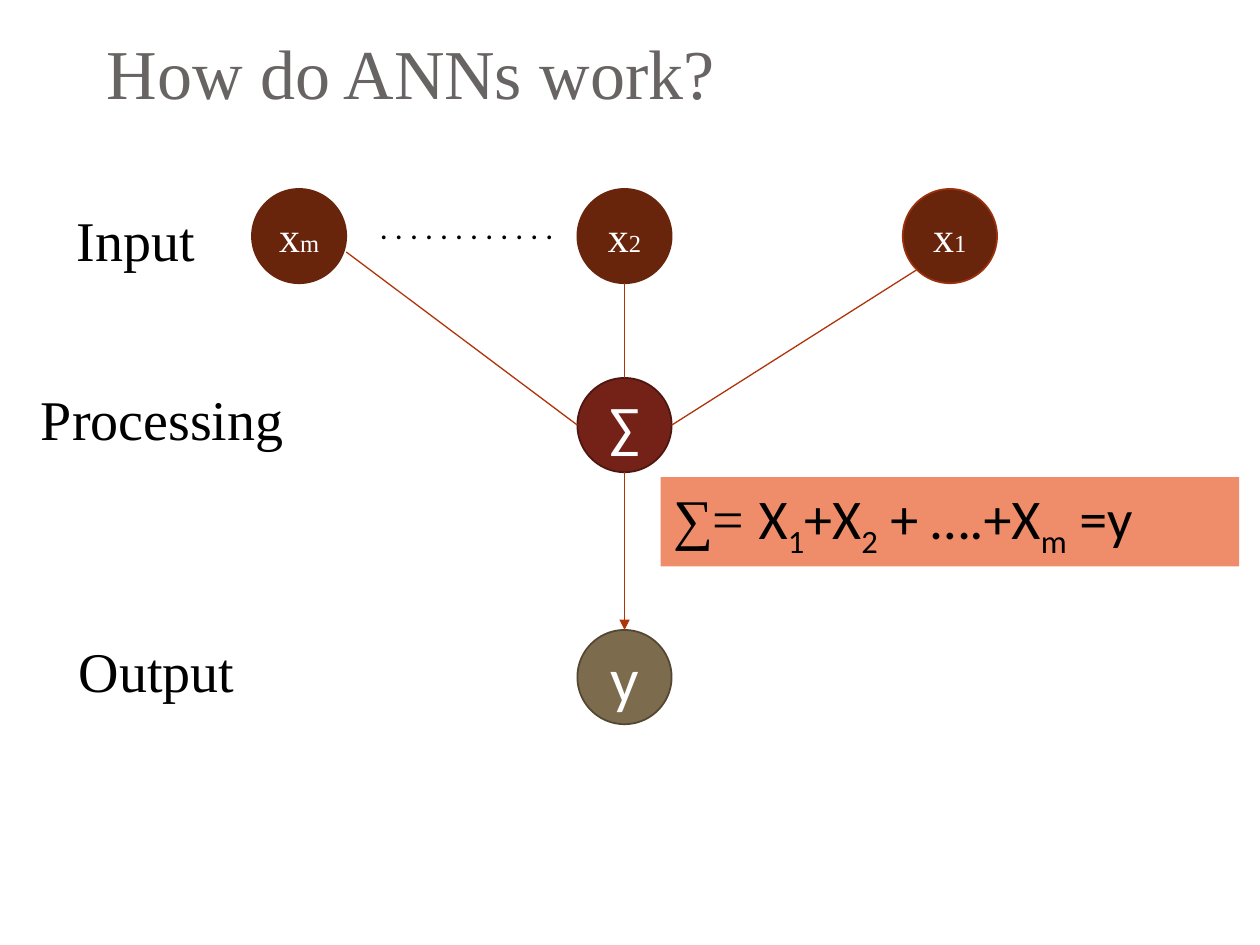
from pptx import Presentation
from pptx.dml.color import RGBColor
from pptx.enum.shapes import MSO_CONNECTOR as CONN, MSO_SHAPE as SHAPE
from pptx.enum.text import MSO_ANCHOR as ANCHOR, MSO_AUTO_SIZE as FIT, PP_ALIGN as ALIGN
from pptx.oxml.ns import qn
from pptx.util import Cm, Pt
from lxml.etree import SubElement

COLORS = {
    "title": "696464", "text": "000000", "light": "FFFFFF",
    "input": "69240C", "input_edge": "9B320E",
    "sum": "742217", "sum_edge": "4E1610",
    "output": "7C6B4D", "output_edge": "534733",
    "formula": "EF8C6A", "link": "AF3408",
}
SERIF, SANS = "Times New Roman", "Calibri"
NODE = 1.9


def rgb(name):
    return RGBColor.from_string(COLORS[name])


def add_run(p, text, size, font, color, baseline=0):
    r = p.add_run()
    r.text = text
    r.font.size, r.font.name = Pt(size), font
    r.font.color.rgb = rgb(color)
    if baseline:
        r.font._element.set("baseline", str(baseline * 1000))


def set_frame(tf, anchor=ANCHOR.TOP, align=ALIGN.LEFT, bottom=0.13):
    tf.word_wrap, tf.auto_size = True, FIT.NONE
    tf.vertical_anchor = anchor
    tf.margin_left = tf.margin_right = Cm(0.25)
    tf.margin_top, tf.margin_bottom = Cm(0.13), Cm(bottom)
    p = tf.paragraphs[0]
    p.alignment = align
    return p


def add_title(s, x, y, w, h):
    sp = s.shapes.title
    sp.left, sp.top, sp.width, sp.height = Cm(x), Cm(y), Cm(w), Cm(h)
    p = set_frame(sp.text_frame, ANCHOR.BOTTOM, bottom=0.25)
    add_run(p, "How do ANNs work?", 40, SERIF, "title")


def add_text(s, x, y, w, h, text, size, font, align=ALIGN.LEFT):
    sp = s.shapes.add_textbox(Cm(x), Cm(y), Cm(w), Cm(h))
    add_run(set_frame(sp.text_frame, align=align), text, size, font, "text")


def add_shape(s, kind, x, y, w, h, fill, edge=None):
    sp = s.shapes.add_shape(kind, Cm(x), Cm(y), Cm(w), Cm(h))
    sp.shadow.inherit = False
    sp.fill.solid()
    sp.fill.fore_color.rgb = rgb(fill)
    if edge:
        sp.line.color.rgb, sp.line.width = rgb(edge), Pt(1)
    else:
        sp.line.fill.background()
    return sp


def add_node(s, x, y, fill, edge, runs, font):
    sp = add_shape(s, SHAPE.OVAL, x, y, NODE, NODE, fill, edge)
    p = set_frame(sp.text_frame, ANCHOR.MIDDLE, ALIGN.CENTER)
    for text, size in runs:
        add_run(p, text, size, font, "light")


def add_link(s, x1, y1, x2, y2, arrow=False):
    c = s.shapes.add_connector(CONN.STRAIGHT, Cm(x1), Cm(y1), Cm(x2), Cm(y2))
    c.line.color.rgb, c.line.width = rgb("link"), Pt(0.75)
    if arrow:
        SubElement(c.line._get_or_add_ln(), qn("a:tailEnd"), type="triangle")
    SubElement(c._element.spPr, qn("a:effectLst"))


def add_labels(s, x, y):
    for text, dy, w in (("Input", 0.2, 5.08), ("Processing", 3.81, 6.15), ("Output", 8.89, 5.92)):
        add_text(s, x, y + dy, w, 1.62, text, 32, SERIF, ALIGN.CENTER)


def add_network(s, x, y, w, h):
    pitch = (w - NODE) / 2
    mid = x + pitch
    center = mid + NODE / 2
    sum_y, out_y = y + 3.81, y + h - NODE
    for i, (sub, edge) in enumerate((("m", "input"), ("2", "input"), ("1", "input_edge"))):
        add_node(s, x + i * pitch, y, "input", edge, [("x", 24), (sub, 14)], SERIF)
    add_node(s, mid, sum_y, "sum", "sum_edge", [("∑", 32)], SANS)
    add_node(s, mid, out_y, "output", "output_edge", [("y", 36)], SANS)
    sum_mid = sum_y + NODE / 2
    add_link(s, center, sum_y + NODE, center, out_y, arrow=True)
    add_link(s, x + w - NODE + 0.28, y + 1.63, mid + NODE, sum_mid)
    add_link(s, center, y + NODE, center, sum_y)
    add_link(s, x + NODE, y + 1.27, mid, sum_mid)
    add_text(s, x + 2.33, y + 0.25, 4.02, 1.78, ". . . . . . . . . . . .", 18, SANS)


def add_formula(s, x, y, w, h):
    sp = add_shape(s, SHAPE.RECTANGLE, x, y, w, h, "formula")
    p = set_frame(sp.text_frame)
    add_run(p, "∑= ", 32, SERIF, "text")
    for text, sub in (("X", "1"), ("+X", "2"), (" + ….+X", "m")):
        add_run(p, text, 32, SANS, "text")
        add_run(p, sub, 32, SANS, "text", baseline=-25)
    add_run(p, " =y", 32, SANS, "text")


def main():
    prs = Presentation()
    prs.slide_width, prs.slide_height = Cm(25.4), Cm(19.05)
    s = prs.slides.add_slide(prs.slide_layouts[5])
    add_title(s, 1.9, 0, 21.6, 2.54)
    add_labels(s, 0.2, 3.81)
    add_network(s, 5.08, 3.81, 15.02, 10.79)
    add_formula(s, 13.32, 9.62, 11.66, 1.8)
    prs.save("out.pptx")


if __name__ == "__main__":
    main()
